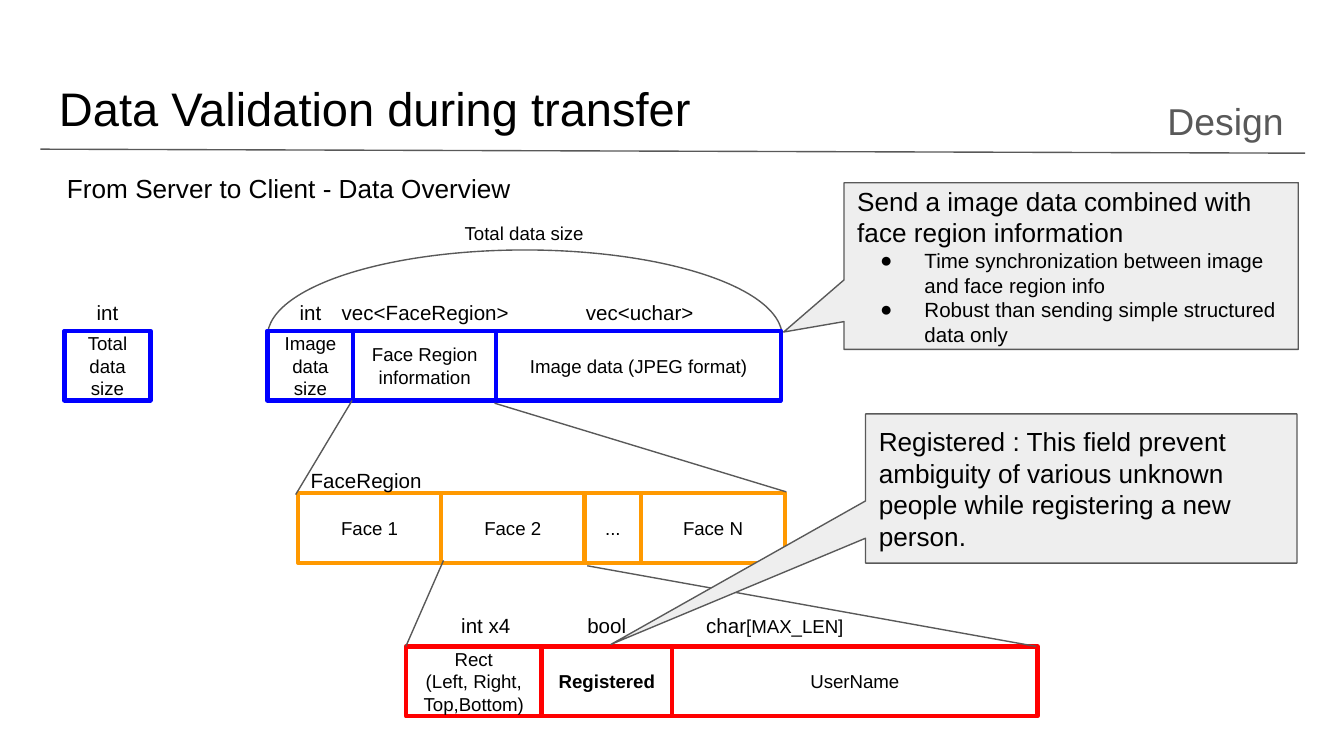
from lxml import etree
from pptx import Presentation
from pptx import util as u
from pptx.dml.color import RGBColor
from pptx.enum import shapes, text
from pptx.oxml import ns

Inches = u.Inches
COLORS = {
    "ink": "000000",
    "gray": "595959",
    "panel": "EEEEEE",
    "packet": "0000FF",
    "faces": "FF9900",
    "fields": "FF0000",
}
LEFT, CENTER, RIGHT = text.PP_ALIGN.LEFT, text.PP_ALIGN.CENTER, text.PP_ALIGN.RIGHT
ROW_HEIGHT = 0.52
LABEL_HEIGHT = 0.39


def rgb(name):
    return RGBColor.from_string(COLORS[name])


def box(left, top, width, height):
    return [Inches(value) for value in (left, top, width, height)]


def set_frame(frame, **options):
    margins = {f"margin_{side}": Inches(0.1) for side in ("left", "right", "top", "bottom")}
    for attribute, value in {"word_wrap": True, **margins, **options}.items():
        setattr(frame, attribute, value)


def write(paragraph, words, size, align=LEFT, color="ink", bold=False):
    paragraph.alignment = align
    run = paragraph.add_run()
    run.text = words
    for attribute, value in {"name": "Arial", "size": u.Pt(size), "bold": bold}.items():
        setattr(run.font, attribute, value)
    run.font.color.rgb = rgb(color)


def add_label(slide, place, words, size=11, align=CENTER, color="ink", grow=True):
    """Text box with one paragraph."""
    frame = slide.shapes.add_textbox(*box(*place)).text_frame
    fit = text.MSO_AUTO_SIZE.SHAPE_TO_FIT_TEXT if grow else text.MSO_AUTO_SIZE.NONE
    set_frame(frame, auto_size=fit)
    write(frame.paragraphs[0], words, size, align, color)
    return frame.paragraphs[0]


def add_outline(slide, kind, place, line, width, fill=None):
    """Preset shape with a coloured outline, hollow unless a fill is given."""
    shape = slide.shapes.add_shape(kind, *box(*place))
    shape.shadow.inherit = False
    if fill:
        shape.fill.solid()
        shape.fill.fore_color.rgb = rgb(fill)
    else:
        shape.fill.background()
    shape.line.color.rgb = rgb(line)
    shape.line.width = u.Pt(width)
    set_frame(shape.text_frame, vertical_anchor=text.MSO_ANCHOR.MIDDLE)
    return shape


def add_row(slide, left, top, color, cells):
    """Adjoining data fields; each cell is (width, paragraphs, bold)."""
    for width, lines, bold in cells:
        place = (left, top, width, ROW_HEIGHT)
        frame = add_outline(slide, shapes.MSO_SHAPE.RECTANGLE, place, color, 2.25).text_frame
        for index, words in enumerate(lines):
            paragraph = frame.add_paragraph() if index else frame.paragraphs[0]
            write(paragraph, words, 10, CENTER, bold=bold)
        left += width


def add_line(slide, start, end):
    ends = [Inches(value) for value in (*start, *end)]
    line = slide.shapes.add_connector(shapes.MSO_CONNECTOR.STRAIGHT, *ends)
    line.line.color.rgb = rgb("gray")
    line.line.width = u.Pt(0.75)
    etree.SubElement(line._element.spPr, ns.qn("a:effectLst"))


def add_bullet(paragraph, size):
    properties = paragraph._p.get_or_add_pPr()
    properties.set("marL", str(Inches(0.5)))
    properties.set("indent", str(Inches(-0.33)))
    bullet_color = etree.SubElement(properties, ns.qn("a:buClr"))
    etree.SubElement(bullet_color, ns.qn("a:srgbClr")).set("val", COLORS["ink"])
    etree.SubElement(properties, ns.qn("a:buSzPts")).set("val", str(size * 100))
    etree.SubElement(properties, ns.qn("a:buFont")).set("typeface", "Arial")
    etree.SubElement(properties, ns.qn("a:buChar")).set("char", "●")


def add_callout(slide, place, pointer, heading, bullets=()):
    kind = shapes.MSO_SHAPE.RECTANGULAR_CALLOUT
    callout = add_outline(slide, kind, place, "gray", 0.75, "panel")
    callout.adjustments[0], callout.adjustments[1] = pointer
    write(callout.text_frame.paragraphs[0], heading, 14)
    for words in bullets:
        paragraph = callout.text_frame.add_paragraph()
        write(paragraph, words, 11)
        add_bullet(paragraph, 11)


def main():
    deck = Presentation()
    # Widescreen, 16 to 9
    deck.slide_width = Inches(10)
    deck.slide_height = deck.slide_width * 9 // 16
    slide = deck.slides.add_slide(deck.slide_layouts[6])

    # Heading
    add_line(slide, (0.3, 1.11), (9.71, 1.14))
    add_label(slide, (0.34, 0.49, 9.32, 0.63), "Data Validation during transfer",
              25.2, LEFT, grow=False)
    add_label(slide, (5.4, 0.63, 4.25, 0.54), "Design", 20, RIGHT, "gray")
    add_label(slide, (0.4, 1.18, 5.29, 0.44), "From Server to Client - Data Overview", 14, LEFT)

    # Arc over the packet
    arc = add_outline(slide, shapes.MSO_SHAPE.ARC, (1.99, 1.86, 3.83, 1.29), "gray", 0.75)
    arc.adjustments[0], arc.adjustments[1] = 108.541, 0.055
    add_label(slide, (3.25, 1.57, 1.3, 0.37), "Total data size", 10)

    # Data rows, from packet to face to field
    add_row(slide, 0.48, 2.46, "packet", [(0.64, ["Total data size"], False)])
    add_row(slide, 1.99, 2.46, "packet", [
        (0.64, ["Image data size"], False),
        (1.06, ["Face Region information"], False),
        (2.12, ["Image data (JPEG format)"], False),
    ])
    add_row(slide, 2.22, 3.67, "faces", [
        (1.06, ["Face 1"], False),
        (1.07, ["Face 2"], False),
        (0.42, ["..."], False),
        (1.07, ["Face N"], False),
    ])
    add_row(slide, 3.02, 4.81, "fields", [
        (1.01, ["Rect", "(Left, Right, Top,Bottom)"], False),
        (0.97, ["Registered"], True),
        (2.72, ["UserName"], False),
    ])

    # Lines that expand one field into the next row
    for start, end in [
        ((2.62, 2.98), (2.2, 3.68)),
        ((3.68, 3), (5.85, 3.66)),
        ((3.3, 4.17), (3.02, 4.81)),
        ((4.37, 4.21), (7.71, 4.81)),
    ]:
        add_line(slide, start, end)

    # Type labels above the rows
    for left, top, width, words in [
        (0.48, 2.14, 0.64, "int"),
        (1.99, 2.14, 0.64, "int"),
        (2.43, 2.14, 1.47, "vec<FaceRegion>"),
        (4.11, 2.14, 1.3, "vec<uchar>"),
        (1.99, 3.39, 1.47, "FaceRegion"),
        (2.88, 4.47, 1.47, "int x4"),
    ]:
        add_label(slide, (left, top, width, LABEL_HEIGHT), words)

    # Callouts, with the labels that lie over the lower pointer
    add_callout(slide, (6.44, 3.08, 3.21, 1.11), (-1.09, 1.045),
                "Registered : This field prevent ambiguity of various unknown "
                "people while registering a new person.")
    name_type = add_label(slide, (5.03, 4.47, 1.47, LABEL_HEIGHT), "char")
    write(name_type, "[MAX_LEN]", 10, CENTER)
    add_label(slide, (3.78, 4.47, 1.47, LABEL_HEIGHT), "bool")
    add_callout(slide, (6.28, 1.36, 3.38, 1.24), (-0.633, 0.396),
                "Send a image data combined with face region information",
                ["Time synchronization between image and face region info",
                 "Robust than sending simple structured data only"])

    deck.save("out.pptx")


if __name__ == "__main__":
    main()
